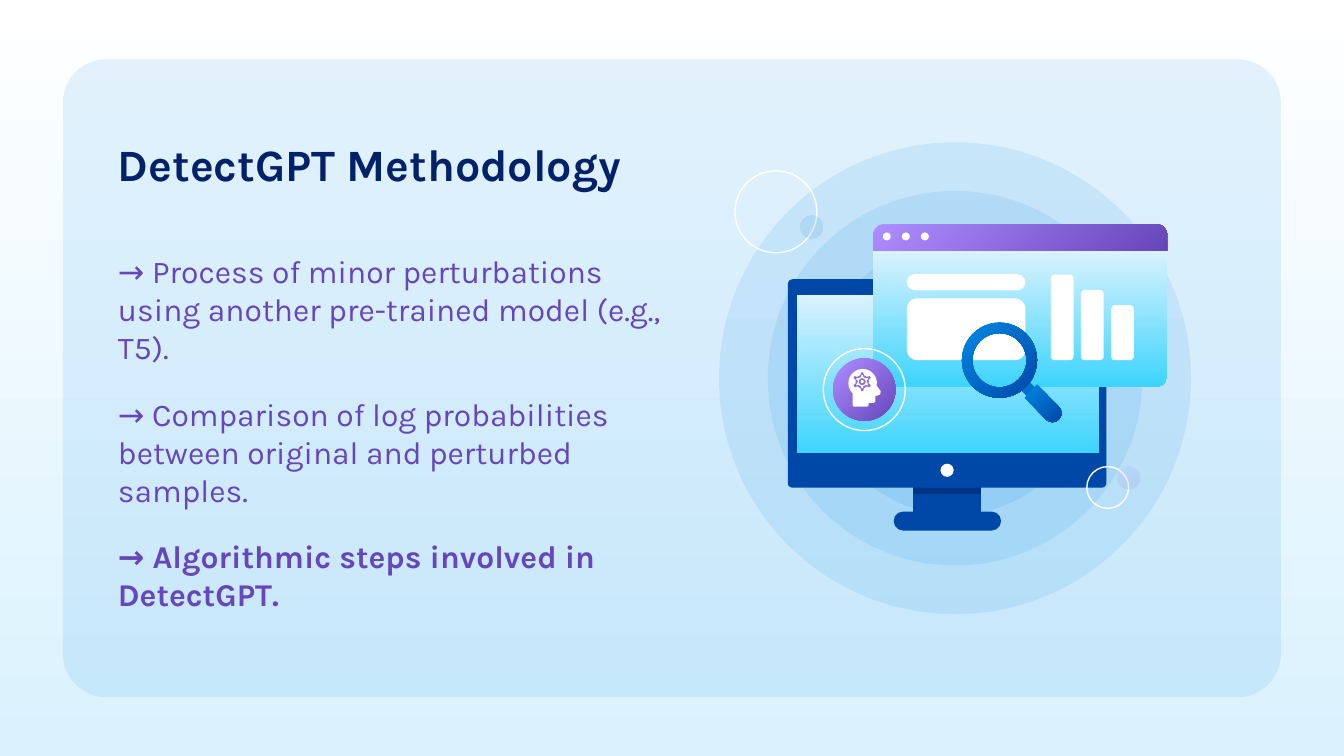
from math import cos, radians, sin

from lxml import etree
from pptx import Presentation
from pptx.dml.color import RGBColor
from pptx.enum.shapes import MSO_SHAPE
from pptx.enum.text import MSO_ANCHOR
from pptx.oxml.ns import qn
from pptx.util import Cm, Pt

OVAL = MSO_SHAPE.OVAL
ROUNDED = MSO_SHAPE.ROUNDED_RECTANGLE
RECTANGLE = MSO_SHAPE.RECTANGLE
TOP_ROUNDED = MSO_SHAPE.ROUND_2_SAME_RECTANGLE
DONUT = MSO_SHAPE.DONUT
GEAR = MSO_SHAPE.GEAR_6
BOTTOM = MSO_ANCHOR.BOTTOM

COLOURS = {
    "white": "FFFFFF", "pale": "DAF2FE", "cyan": "3ED4FD", "azure": "0388E5",
    "blue": "0048A7", "navy": "012169", "lilac": "AD8DFF", "violet": "6746B9",
    "badge": "8A6DDC",
}
SKY = ("pale", "cyan")
GRAPE = ("lilac", "violet")
OCEAN = ("azure", "blue")


def rgb(name):
    """Return the named colour."""
    return RGBColor.from_string(COLOURS[name])


def paint_fill(fill, colour, angle=45):
    """Fill with one colour name or with a clockwise gradient of two."""
    if isinstance(colour, str):
        fill.solid()
        fill.fore_color.rgb = rgb(colour)
        return
    fill.gradient()
    fill.gradient_angle = 360 - angle
    for stop, name in zip(fill.gradient_stops, colour):
        stop.color.rgb = rgb(name)


def style_shape(shape, colour, angle=45, opacity=100):
    """Give a shape its fill without line or shadow."""
    shape.shadow.inherit = False
    paint_fill(shape.fill, colour, angle)
    if opacity < 100:
        for node in shape._element.spPr.iter(qn("a:srgbClr")):
            etree.SubElement(node, qn("a:alpha"), val=str(opacity * 1000))
    shape.line.fill.background()


def add_part(page, kind, left, top, width, height, colour, adjust=(), **style):
    """Add a filled preset shape, measured in centimetres."""
    shape = page.shapes.add_shape(kind, Cm(left), Cm(top), Cm(width), Cm(height))
    for index, value in enumerate(adjust):
        shape.adjustments[index] = value
    style_shape(shape, colour, **style)


def add_disc(page, centre_x, centre_y, size, colour, kind=OVAL, **options):
    """Add a round shape around a centre."""
    add_part(page, kind, centre_x - size / 2, centre_y - size / 2, size, size, colour, **options)


def add_ring(page, left, top, size):
    """Add a thin white circle."""
    ring = page.shapes.add_shape(OVAL, Cm(left), Cm(top), Cm(size), Cm(size))
    ring.shadow.inherit = False
    ring.fill.background()
    ring.line.color.rgb = rgb("white")
    ring.line.width = Pt(0.75)


def add_outline(page, left, top, points, colour):
    """Add a closed outline whose points are relative to left and top."""
    places = [(Cm(left + x), Cm(top + y)) for x, y in points]
    builder = page.shapes.build_freeform(*places[0])
    builder.add_line_segments(places[1:], close=True)
    style_shape(builder.convert_to_shape(), colour)


def arc_points(centre_x, centre_y, radius, start, end, steps=20):
    """Return points along an arc given in degrees."""
    angles = [radians(start + (end - start) * step / steps) for step in range(steps + 1)]
    return [(centre_x + radius * cos(angle), centre_y + radius * sin(angle)) for angle in angles]


def add_text(page, text, left, top, width, height, size=17, colour="violet", bold=False):
    """Add a wrapped text box anchored at its bottom."""
    box = page.shapes.add_textbox(Cm(left), Cm(top), Cm(width), Cm(height))
    frame = box.text_frame
    frame.word_wrap = True
    frame.vertical_anchor = BOTTOM
    frame.margin_left = frame.margin_right = frame.margin_top = frame.margin_bottom = Cm(0.25)
    span = frame.paragraphs[0].add_run()
    span.text = text
    span.font.name = "Karla"
    span.font.size = Pt(size)
    span.font.bold = bold
    span.font.color.rgb = rgb(colour)


def add_copy(page, left, top, width):
    """Add the heading and the three stacked points."""
    add_text(page, "DetectGPT Methodology", left, top, width + 0.3, 1.55,
             size=24, colour="navy", bold=True)
    points = [
        ("→ Process of minor perturbations using another pre-trained model (e.g., T5).", 2.7, False),
        ("→ Comparison of log probabilities between original and perturbed samples.", 2.7, False),
        ("→ Algorithmic steps involved in DetectGPT.", 1.96, True),
    ]
    point_top = top + 2.16
    for text, height, bold in points:
        add_text(page, text, left, point_top, width, height, bold=bold)
        point_top += height


def add_monitor(page, left, top, width, height):
    """Add the desktop monitor on its stand."""
    middle = left + width / 2
    add_part(page, RECTANGLE, middle - 0.64, top + 3.5, 1.28, 0.98, "blue")
    add_part(page, RECTANGLE, middle - 0.64, top + 3.5, 1.28, 0.56, "navy", opacity=50)
    add_part(page, ROUNDED, left, top, width, height, "blue", adjust=[0.022])
    add_part(page, ROUNDED, middle - 1.01, top + 4.39, 2.03, 0.36, "blue", adjust=[0.5])
    add_disc(page, middle, top + 3.61, 0.25, "white")
    add_part(page, RECTANGLE, left + 0.17, top + 0.29, width - 0.31, 3, SKY, angle=90)


def add_browser(page, left, top, width, height):
    """Add the window with its bar, two cards and three columns."""
    bar = 0.5
    add_part(page, TOP_ROUNDED, left, top, width, bar, GRAPE, adjust=[0.4, 0])
    add_part(page, TOP_ROUNDED, left, top + bar, width, height - bar, SKY,
             adjust=[0, 0.08], angle=90)
    for index in range(3):
        add_disc(page, left + 0.26 + 0.36 * index, top + 0.23, 0.15, "white")
    floor = top + 2.57
    for index, tall in enumerate([1.62, 1.33, 1.04]):
        add_part(page, ROUNDED, left + 3.36 + 0.57 * index, floor - tall, 0.43, tall,
                 "white", adjust=[0.17])
    add_part(page, ROUNDED, left + 0.64, top + 0.94, 2.24, 0.31, "white", adjust=[0.5])
    add_part(page, ROUNDED, left + 0.64, floor - 1.17, 2.24, 1.17, "white", adjust=[0.17])


def add_badge(page, left, top, size):
    """Add the round badge holding a head with a gear."""
    middle_x, middle_y = left + size / 2, top + size / 2
    add_ring(page, left, top, size)
    add_disc(page, middle_x, middle_y, 1.18, GRAPE)
    face = [(0.53, 0.31), (0.61, 0.42), (0.6, 0.48), (0.53, 0.51), (0.51, 0.51),
            (0.51, 0.61), (0.48, 0.64), (0.38, 0.64), (0.38, 0.69), (0.36, 0.71),
            (0.1, 0.71), (0.08, 0.69)]
    head = arc_points(0.27, 0.27, 0.27, 135, 360) + face
    add_outline(page, middle_x - 0.3, middle_y - 0.39, head, "white")
    gear_x, gear_y = middle_x - 0.04, middle_y - 0.15
    add_disc(page, gear_x, gear_y, 0.36, "badge", kind=GEAR)
    add_disc(page, gear_x, gear_y, 0.25, "white", kind=GEAR)
    add_disc(page, gear_x, gear_y, 0.13, "badge")
    add_disc(page, gear_x, gear_y, 0.06, "white")


def add_magnifier(page, left, top, size):
    """Add the magnifying glass with its neck and handle."""
    neck = [(1.24, 1.09), (1.09, 1.24), (1.37, 1.52), (1.52, 1.37)]
    handle = [(1.42, 1.17), (1.19, 1.42)] + arc_points(1.71, 1.71, 0.17, 135, -45)
    add_outline(page, left, top, neck, OCEAN)
    add_part(page, DONUT, left, top, size, size, OCEAN, adjust=[0.14])
    add_outline(page, left, top, handle, OCEAN)


def add_illustration(page, left, top, size):
    """Add the halo, the screens and the bubbles around them."""
    for diameter in (size, 7.08, 5.16):
        add_disc(page, left + size / 2, top + size / 2, diameter, "azure", opacity=10)
    add_monitor(page, left + 1.3, top + 2.59, 6.02, 3.94)
    add_browser(page, left + 2.91, top + 1.55, 5.56, 3.07)
    add_badge(page, left + 1.97, top + 3.9, 1.55)
    add_magnifier(page, left + 4.59, top + 3.41, 1.42)
    add_ring(page, left + 0.3, top + 0.54, 1.55)
    add_disc(page, left + 1.75, top + 1.6, 0.43, OCEAN, opacity=10)
    add_ring(page, left + 6.95, top + 6.13, 0.79)
    add_disc(page, left + 7.74, top + 6.34, 0.43, GRAPE, opacity=10)


def add_methodology(page, left, top, width, height):
    """Add the card with text on the left and the illustration on the right."""
    paint_fill(page.background.fill, ("white", "pale"), angle=90)
    add_part(page, ROUNDED, left, top, width, height, "azure", adjust=[0.068], opacity=10)
    add_copy(page, left + 0.79, top + 1.19, 11.3)
    add_illustration(page, left + 12.4, top + 1.57, 8.92)


def main():
    """Build and save the deck."""
    deck = Presentation()
    deck.slide_width, deck.slide_height = Cm(25.4), Cm(14.29)
    page = deck.slides.add_slide(deck.slide_layouts[6])
    add_methodology(page, 1.19, 1.12, 23.02, 12.06)
    deck.save("out.pptx")


if __name__ == "__main__":
    main()
